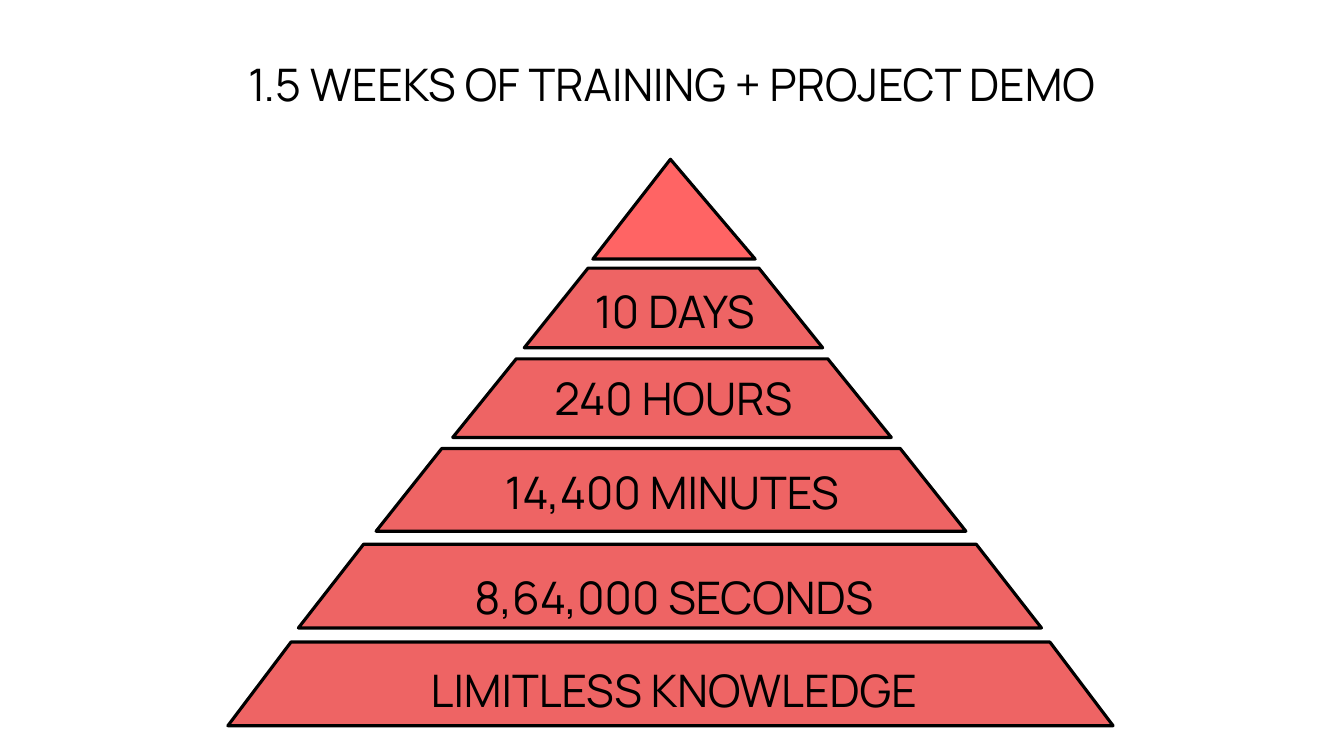
from dataclasses import dataclass

import pptx
import pptx.dml.color
import pptx.enum.shapes
import pptx.enum.text
import pptx.util

RGB = pptx.dml.color.RGBColor
SHAPE = pptx.enum.shapes.MSO_SHAPE
ANCHOR = pptx.enum.text.MSO_ANCHOR
ALIGN = pptx.enum.text.PP_ALIGN

BLACK = RGB(0x00, 0x00, 0x00)
CORAL = RGB(0xEE, 0x64, 0x64)
PEAK = RGB(0xFF, 0x64, 0x64)
SCALE = 9144
FONT = "Manrope"


@dataclass(frozen=True)
class Box:
    left: int
    top: int
    width: int
    height: int

    def emu(self) -> list[pptx.util.Emu]:
        sides = (self.left, self.top, self.width, self.height)
        return [pptx.util.Emu(side * SCALE) for side in sides]


@dataclass(frozen=True)
class Tier:
    box: Box
    slant: float
    kind: SHAPE = SHAPE.TRAPEZOID
    fill: RGB = CORAL


@dataclass(frozen=True)
class Label:
    text: str
    box: Box
    space: float = 1.0
    anchor: ANCHOR = ANCHOR.TOP
    pad: tuple[int, int, int, int] = (10, 5, 10, 5)


def draw_tier(slide: pptx.slide.Slide, tier: Tier) -> None:
    shape = slide.shapes.add_shape(tier.kind, *tier.box.emu())
    shape.adjustments[0] = tier.slant
    shape.shadow.inherit = False
    shape.fill.solid()
    shape.fill.fore_color.rgb = tier.fill
    shape.line.color.rgb = BLACK
    shape.line.width = pptx.util.Pt(2.25)


def draw_label(slide: pptx.slide.Slide, label: Label) -> None:
    frame = slide.shapes.add_textbox(*label.box.emu()).text_frame
    frame.word_wrap = True
    frame.vertical_anchor = label.anchor
    left, top, right, low = (pptx.util.Emu(side * SCALE) for side in label.pad)
    frame.margin_left, frame.margin_top = left, top
    frame.margin_right, frame.margin_bottom = right, low
    line = frame.paragraphs[0]
    line.text = label.text
    line.alignment = ALIGN.CENTER
    line.line_spacing = label.space
    line.font.name = FONT
    line.font.size = pptx.util.Pt(32)
    line.font.color.rgb = BLACK


def wide_label(text: str, box: Box, low: int = 0) -> Label:
    return Label(text, box, 1.1, ANCHOR.MIDDLE, (0, 0, 0, low))


TIERS = [
    Tier(Box(588, 158, 161, 99), 0.478, SHAPE.ISOSCELES_TRIANGLE, PEAK),
    Tier(Box(520, 266, 296, 79), 0.801),
    Tier(Box(449, 356, 435, 78), 0.808),
    Tier(Box(373, 445, 585, 82), 0.794),
    Tier(Box(296, 540, 737, 83), 0.779),
    Tier(Box(226, 637, 878, 83), 0.755),
]

LABELS = [
    wide_label("1.5 WEEKS OF TRAINING + PROJECT DEMO", Box(0, 24, 1333, 168), 56),
    Label("10 DAYS", Box(548, 277, 242, 64)),
    Label("240 HOURS", Box(520, 363, 296, 64)),
    Label("14,400 MINUTES", Box(449, 456, 435, 64)),
    wide_label("8,64,000 SECONDS", Box(179, 520, 979, 138)),
    wide_label("LIMITLESS KNOWLEDGE", Box(179, 612, 979, 138)),
]


def main() -> None:
    deck = pptx.Presentation()
    deck.slide_width = pptx.util.Emu(1333 * SCALE)
    deck.slide_height = pptx.util.Emu(750 * SCALE)
    slide = deck.slides.add_slide(deck.slide_layouts[6])
    for tier in TIERS:
        draw_tier(slide, tier)
    for label in LABELS:
        draw_label(slide, label)
    deck.save("out.pptx")


if __name__ == "__main__":
    main()
